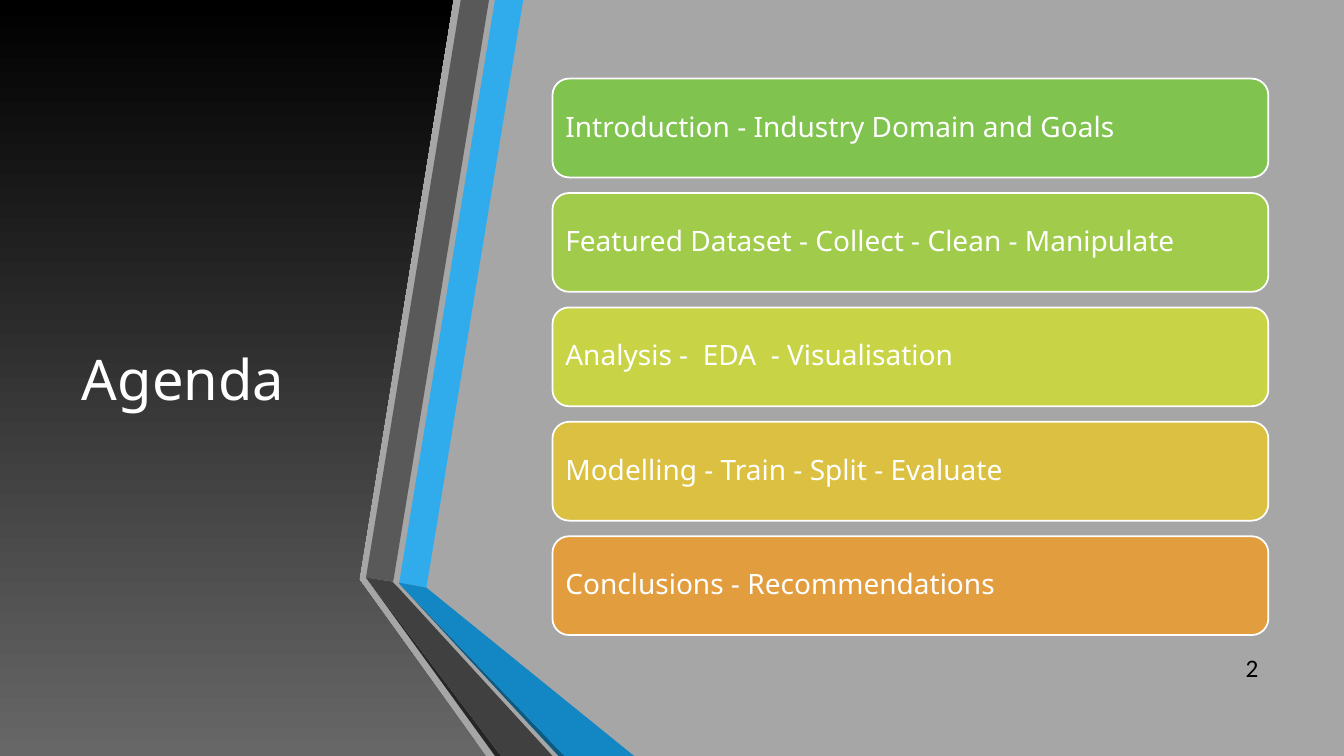
from pptx import Presentation
from pptx.dml.color import RGBColor
from pptx.enum import shapes, text
from pptx.util import Inches, Pt

COLOURS = {
    "white": "FFFFFF", "black": "000000",
    "grey top": "A5A8A9", "grey bottom": "A6A6A6", "panel bottom": "676767",
    "blue": "30ACEC", "blue fold": "1287C3", "blue edge": "0C5A82",
    "dark": "595959", "dark fold": "404040", "dark edge": "262626",
    "green": "80C34F", "lime": "A1CB4A", "yellow": "C8D346",
    "gold": "DBC042", "orange": "E29D3E",
}


def colour(name):
    return RGBColor.from_string(COLOURS[name])


def shade_upwards(fill, bottom, top, start=0):
    fill.gradient()
    fill.gradient_angle = 90
    for stop, name, position in zip(fill.gradient_stops, (bottom, top), (start, 1)):
        stop.color.rgb = colour(name)
        stop.position = position


deck = Presentation()
deck.slide_width, deck.slide_height = Inches(13.33), Inches(7.5)
slide = deck.slides.add_slide(deck.slide_layouts[5])

# Grey backdrop
shade_upwards(slide.background.fill, "grey bottom", "grey top", 0.17)
backdrop = slide.shapes.add_shape(
    shapes.MSO_SHAPE.RECTANGLE, 0, 0, deck.slide_width, deck.slide_height)
shade_upwards(backdrop.fill, "grey bottom", "grey top", 0.17)
backdrop.line.fill.background()
backdrop.shadow.inherit = False

# Dark panel and folded ribbons, outlined in hundredths of an inch
outlines = [
    ("panel", [(0, 0), (449, 0), (356, 575), (482, 750), (0, 750)]),
    ("blue", [(396, 578), (423, 583), (519, 0), (491, 0)]),
    ("dark", [(485, 0), (457, 0), (363, 573), (390, 577)]),
    ("dark edge", [(363, 573), (491, 750), (497, 750)]),
    ("blue edge", [(396, 579), (554, 750), (560, 750)]),
    ("blue fold", [(396, 579), (560, 750), (629, 750), (423, 583), (396, 578)]),
    ("dark fold", [(548, 750), (395, 583), (389, 577), (363, 573), (497, 750)]),
]
for part, corners in outlines:
    builder = slide.shapes.build_freeform(*corners[0], scale=Inches(0.01))
    builder.add_line_segments(corners[1:], close=True)
    outline = builder.convert_to_shape()
    outline.line.fill.background()
    outline.shadow.inherit = False
    if part == "panel":
        shade_upwards(outline.fill, "panel bottom", "black")
        panel = outline
    else:
        outline.fill.solid()
        outline.fill.fore_color.rgb = colour(part)

# Title, lifted in front of the panel
title = slide.shapes.title
panel.element.addnext(title.element)
title.left, title.top = Inches(0.37), Inches(3.2)
title.width, title.height = Inches(2.89), Inches(1.11)
title.text_frame.text = "Agenda"
title.text_frame.vertical_anchor = text.MSO_ANCHOR.MIDDLE
heading = title.text_frame.paragraphs[0]
heading.alignment = text.PP_ALIGN.CENTER
heading.font.name, heading.font.size = "Noto Sans", Pt(40)
heading.font.color.rgb = colour("white")

# Slide number
number_box = slide.shapes.add_textbox(
    Inches(11.98), Inches(6.42), Inches(0.6), Inches(0.4))
number_box.text_frame.word_wrap = True
number_box.text_frame.vertical_anchor = text.MSO_ANCHOR.MIDDLE
number = number_box.text_frame.paragraphs[0]
number.text = "2"
number.alignment = text.PP_ALIGN.RIGHT
number.font.name, number.font.size = "Calibri", Pt(18)
number.font.color.rgb = colour("black")

# Agenda topics
topics = [
    ("Introduction - Industry Domain and Goals", "green"),
    ("Featured Dataset - Collect - Clean - Manipulate", "lime"),
    ("Analysis -  EDA  - Visualisation", "yellow"),
    ("Modelling - Train - Split - Evaluate", "gold"),
    ("Conclusions - Recommendations", "orange"),
]
for row, (wording, shade) in enumerate(topics):
    topic = slide.shapes.add_shape(
        shapes.MSO_SHAPE.ROUNDED_RECTANGLE,
        Inches(5.48), Inches(0.78 + 1.135 * row), Inches(7.1), Inches(0.98))
    topic.shadow.inherit = False
    topic.fill.solid()
    topic.fill.fore_color.rgb = colour(shade)
    topic.line.color.rgb = colour("white")
    topic.line.width = Pt(1.25)
    frame = topic.text_frame
    frame.word_wrap = True
    frame.vertical_anchor = text.MSO_ANCHOR.MIDDLE
    frame.margin_left = frame.margin_right = Inches(0.08)
    frame.margin_top = frame.margin_bottom = Inches(0.08)
    label = frame.paragraphs[0]
    label.text = wording
    label.alignment = text.PP_ALIGN.LEFT
    label.line_spacing = 0.9
    label.font.name, label.font.size = "Noto Sans", Pt(20)
    label.font.color.rgb = colour("white")

deck.save("out.pptx")
